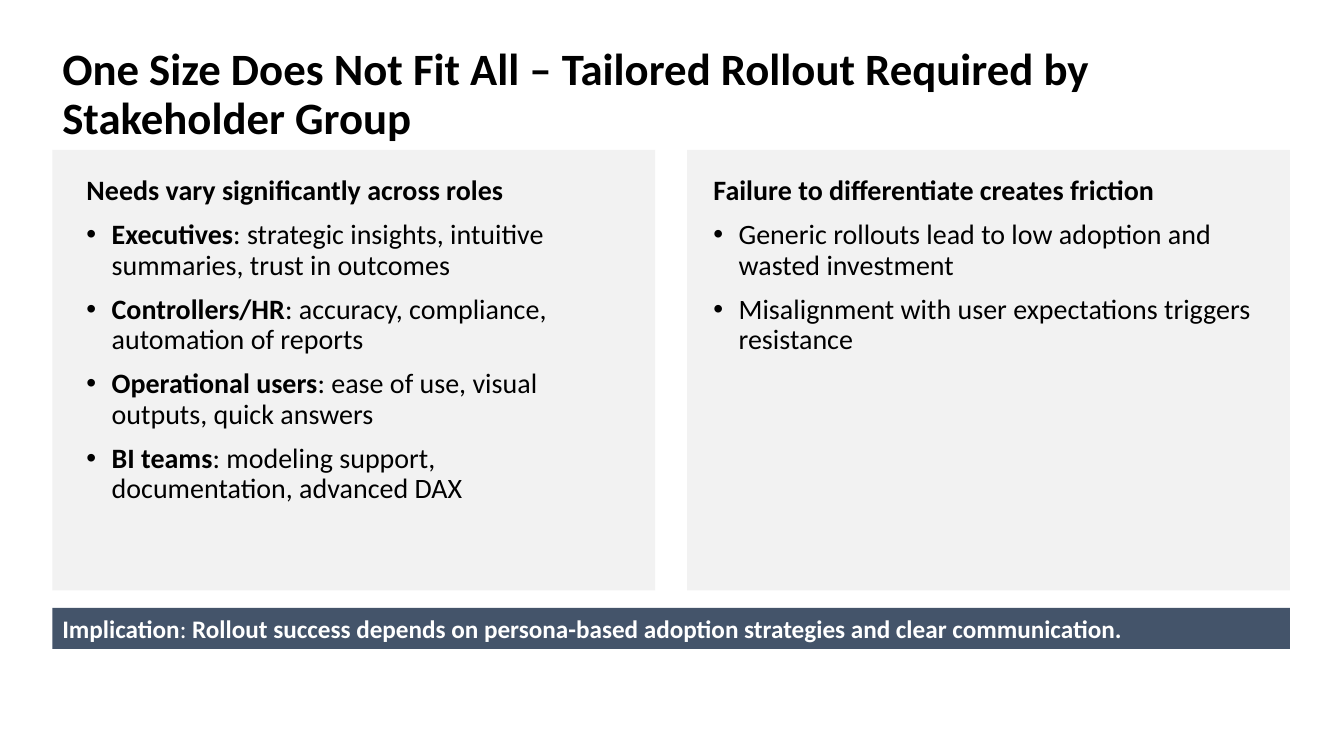
from lxml import etree
from pptx import Presentation
from pptx import util as u
from pptx.dml.color import RGBColor
from pptx.enum import shapes, text
from pptx.oxml.ns import qn

FONT = "Calibri"
BLACK, WHITE, PANEL_GREY, SLATE = "000000", "FFFFFF", "F2F2F2", "44546A"
MARGIN, CONTENT_WIDTH = 1.32, 31.19
PANEL_TOP, PANEL_WIDTH, PANEL_HEIGHT = 3.78, 15.19, 11.1

# Each panel: heading, bullets as (bold lead, rest), text inset, text width
PANELS = [
    ("Needs vary significantly across roles", [
        ("Executives", ": strategic insights, intuitive summaries, trust in outcomes"),
        ("Controllers/HR", ": accuracy, compliance, automation of reports"),
        ("Operational users", ": ease of use, visual outputs, quick answers"),
        ("BI teams", ": modeling support, documentation, advanced DAX"),
    ], 0.61, 13.59),
    ("Failure to differentiate creates friction", [
        ("", "Generic rollouts lead to low adoption and wasted investment"),
        ("", "Misalignment with user expectations triggers resistance"),
    ], 0.41, 14.2),
]


def color(value):
    return RGBColor.from_string(value)


def style(para, size, ink):
    para.font.name = FONT
    para.font.size = u.Pt(size)
    para.font.color.rgb = color(ink)


def add_spans(para, spans):
    """Add (words, bold) pairs, skipping empty words."""
    for words, bold in spans:
        if words:
            span = para.add_run()
            span.text = words
            span.font.bold = bold


def add_bullet(para):
    properties = para._p.get_or_add_pPr()
    properties.set("marL", str(u.Cm(0.635)))
    properties.set("indent", str(-u.Cm(0.635)))
    etree.SubElement(properties, qn("a:buFont")).set("typeface", "Arial")
    etree.SubElement(properties, qn("a:buChar")).set("char", "•")


def add_rectangle(page, left, top, width, height, fill):
    box = page.shapes.add_shape(
        shapes.MSO_SHAPE.RECTANGLE,
        u.Cm(left), u.Cm(top), u.Cm(width), u.Cm(height))
    box.shadow.inherit = False
    box.fill.solid()
    box.fill.fore_color.rgb = color(fill)
    box.line.fill.background()
    return box


def add_text_frame(page, left, top, width, height):
    box = page.shapes.add_textbox(
        u.Cm(left), u.Cm(top), u.Cm(width), u.Cm(height))
    box.text_frame.word_wrap = True
    return box.text_frame


def add_title(page, left, top, width, height):
    frame = add_text_frame(page, left, top, width, height)
    frame.vertical_anchor = text.MSO_ANCHOR.MIDDLE
    para = frame.paragraphs[0]
    para.line_spacing = 0.9
    para.text = "One Size Does Not Fit All – Tailored Rollout Required by Stakeholder Group"
    style(para, 32, BLACK)
    para.font.bold = True


def add_panel(page, left, top, width, height, content):
    heading, bullets, inset, text_width = content
    add_rectangle(page, left, top, width, height, PANEL_GREY)
    frame = add_text_frame(page, left + inset, top + 0.54, text_width, height - 0.54)
    para = frame.paragraphs[0]
    para.line_spacing = 0.9
    add_spans(para, [(heading, True)])
    style(para, 20, BLACK)
    for lead, rest in bullets:
        para = frame.add_paragraph()
        para.line_spacing = 0.9
        para.space_before = u.Pt(10)
        add_bullet(para)
        add_spans(para, [(lead, True), (rest, False)])
        style(para, 20, BLACK)


def add_implication(page, left, top, width, height):
    frame = add_rectangle(page, left, top, width, height, SLATE).text_frame
    frame.word_wrap = True
    frame.vertical_anchor = text.MSO_ANCHOR.TOP
    para = frame.paragraphs[0]
    para.alignment = text.PP_ALIGN.LEFT
    add_spans(para, [
        ("Implication", True),
        (": ", False),
        ("Rollout success depends on persona-based adoption strategies"
         " and clear communication.", True),
    ])
    style(para, 18, WHITE)


def main():
    deck = Presentation()
    deck.slide_width, deck.slide_height = u.Cm(33.87), u.Cm(19.05)
    page = deck.slides.add_slide(deck.slide_layouts[6])
    add_title(page, MARGIN, 1.02, CONTENT_WIDTH, 2.77)
    step = CONTENT_WIDTH - PANEL_WIDTH
    for index, content in enumerate(PANELS):
        add_panel(page, MARGIN + index * step, PANEL_TOP,
                  PANEL_WIDTH, PANEL_HEIGHT, content)
    add_implication(page, MARGIN, 15.32, CONTENT_WIDTH, 1.03)
    deck.save("out.pptx")


if __name__ == "__main__":
    main()
